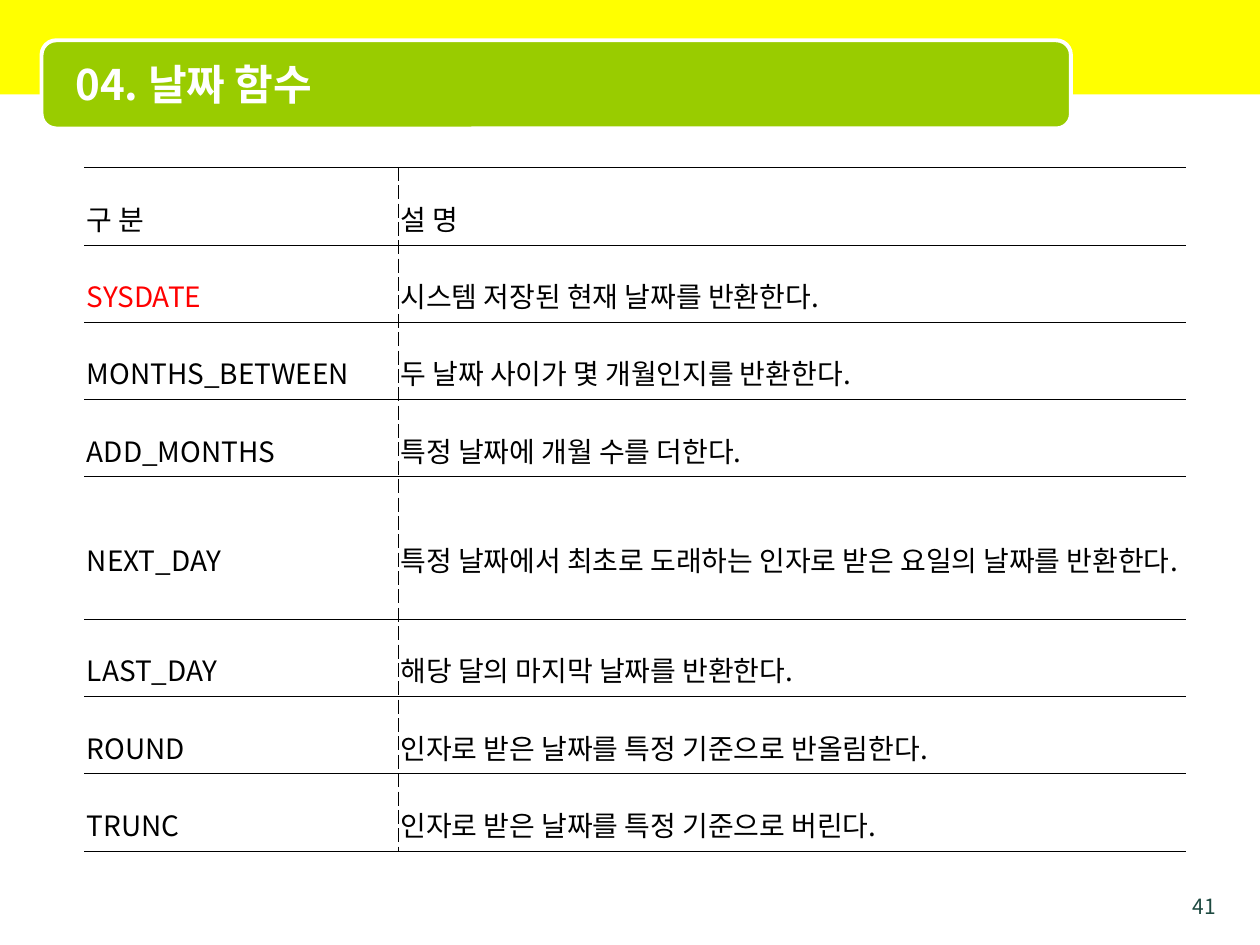
from lxml import etree
from pptx import Presentation
from pptx import util as u
from pptx.dml.color import RGBColor
from pptx.enum import shapes, text
from pptx.oxml import ns

FACE = "Noto Sans CJK KR"
ROWS = [
    ("구 분", "설 명"),
    ("SYSDATE", "시스템 저장된 현재 날짜를 반환한다."),
    ("MONTHS_BETWEEN", "두 날짜 사이가 몇 개월인지를 반환한다."),
    ("ADD_MONTHS", "특정 날짜에 개월 수를 더한다."),
    ("NEXT_DAY", "특정 날짜에서 최초로 도래하는 인자로 받은 요일의 날짜를 반환한다."),
    ("LAST_DAY", "해당 달의 마지막 날짜를 반환한다."),
    ("ROUND", "인자로 받은 날짜를 특정 기준으로 반올림한다."),
    ("TRUNC", "인자로 받은 날짜를 특정 기준으로 버린다."),
]


def paint(color, code):
    """Fill a solid format with a hex colour."""
    color.solid()
    color.fore_color.rgb = RGBColor.from_string(code)


def style(para, words, size, code, align, bold=False):
    """Write a paragraph and set its font."""
    para.text = words
    para.alignment = align
    font = para.font
    font.size, font.bold, font.name = u.Pt(size), bold, FACE
    paint(font.fill, code)
    props = para._p.pPr
    props.set("hangingPunct", "0")
    face = props.find(ns.qn("a:defRPr"))
    face.set("kern", "0")
    etree.SubElement(face, ns.qn("a:ea"), typeface=FACE)


def block(slide, kind, box, fill, edge=None):
    """Add a filled preset shape."""
    shape = slide.shapes.add_shape(kind, *map(u.Inches, box))
    shape.shadow.inherit = False
    paint(shape.fill, fill)
    if edge:
        paint(shape.line.fill, edge)
        shape.line.width = u.Pt(2.25)
    else:
        shape.line.fill.background()


def label(slide, box, words, size, code, align, anchor, bold=False):
    """Add a text box with one line."""
    frame = slide.shapes.add_textbox(*map(u.Inches, box)).text_frame
    frame.word_wrap = True
    frame.vertical_anchor = anchor
    style(frame.paragraphs[0], words, size, code, align, bold)


def border(cell, side, width, dash="solid"):
    """Add one cell border, or hide it when the width is zero."""
    props = cell._tc.get_or_add_tcPr()
    line = etree.SubElement(props, ns.qn("a:ln" + side), w=str(u.Pt(width)))
    if not width:
        etree.SubElement(line, ns.qn("a:noFill"))
        return
    fill = etree.SubElement(line, ns.qn("a:solidFill"))
    etree.SubElement(fill, ns.qn("a:srgbClr"), val="000000")
    etree.SubElement(line, ns.qn("a:prstDash"), val=dash)


def grid(slide):
    """Add the table of date functions."""
    box = map(u.Inches, (0.67, 1.33, 8.74, 5.42))
    table = slide.shapes.add_table(len(ROWS), 2, *box).table
    for col, width in zip(table.columns, (2.49, 6.25)):
        col.width = u.Inches(width)
    for r, row in enumerate(ROWS):
        table.rows[r].height = u.Inches(1.13 if row[0] == "NEXT_DAY" else 0.613)
        for c, words in enumerate(row):
            cell = table.cell(r, c)
            cell.margin_left = cell.margin_right = u.Inches(0.02)
            cell.margin_top = cell.margin_bottom = u.Inches(0.05)
            cell.vertical_anchor = text.MSO_ANCHOR.MIDDLE
            border(cell, "L", 0.28 * c, "dash")
            border(cell, "R", 0.28 * (1 - c), "dash")
            border(cell, "T", 0.11 if r else 1)
            border(cell, "B", 0.11)
            paint(cell.fill, "FFFFFF")
            para = cell.text_frame.paragraphs[0]
            para.line_spacing = 1.6
            code = "FF0000" if words == "SYSDATE" else "000000"
            style(para, words, 16, code, text.PP_ALIGN.JUSTIFY)


def main():
    """Build the slide and save it."""
    deck = Presentation()
    deck.slide_width, deck.slide_height = u.Inches(10), u.Inches(7.5)
    slide = deck.slides.add_slide(deck.slide_layouts[6])
    kind, align, anchor = shapes.MSO_SHAPE, text.PP_ALIGN, text.MSO_ANCHOR
    block(slide, kind.RECTANGLE, (0, 0, 10, 0.75), "FFFF00")
    block(slide, kind.ROUNDED_RECTANGLE, (0.33, 0.32, 8.17, 0.7), "99CC00", "FFFFFF")
    label(slide, (9.25, 7.04, 0.5, 0.21), "41", 12, "1D4940", align.RIGHT, anchor.TOP)
    label(slide, (0.5, 0.35, 7.92, 0.62), "04. 날짜 함수", 24, "FFFFFF",
          align.LEFT, anchor.MIDDLE, True)
    grid(slide)
    deck.save("out.pptx")


if __name__ == "__main__":
    main()
